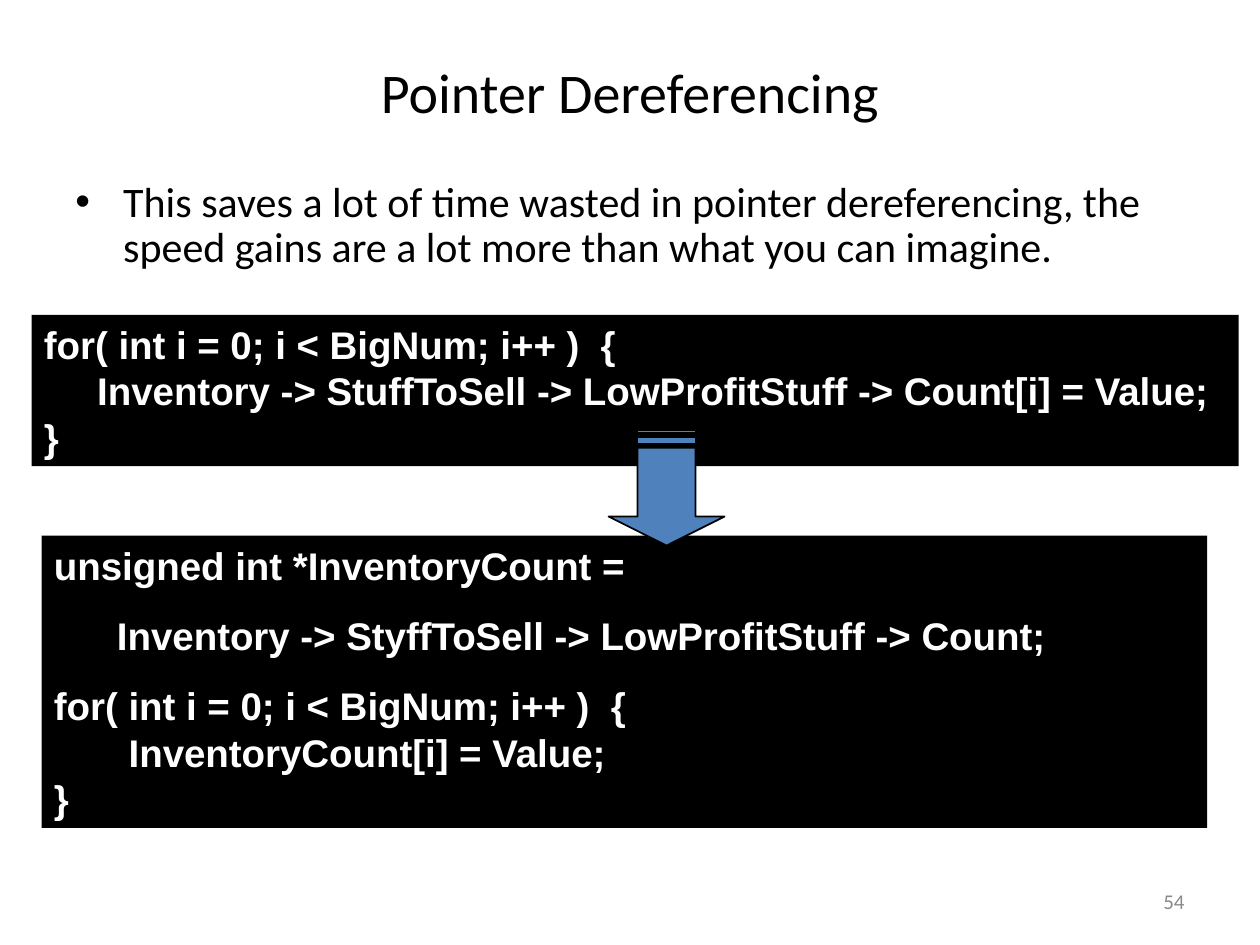
import pptx
import pptx.dml.color
import pptx.enum.shapes
import pptx.enum.text
import pptx.oxml
import pptx.oxml.ns
import pptx.util

SHAPE = pptx.enum.shapes.MSO_SHAPE
ALIGN = pptx.enum.text.PP_ALIGN
ANCHOR = pptx.enum.text.MSO_ANCHOR

LOOP = "for( int i = 0; i < BigNum; i++ )  {"
SLOW_CODE = [
    f"{LOOP}\v     Inventory -> StuffToSell -> LowProfitStuff -> Count[i] = Value;\v}}",
]
FAST_CODE = [
    "unsigned int *InventoryCount =",
    "\tInventory -> StyffToSell -> LowProfitStuff -> Count;",
    f"{LOOP}\v       InventoryCount[i] = Value;\v}}",
]


def color(value):
    return pptx.dml.color.RGBColor.from_string(value)


class Deck:
    """Holds the style and the current slide; places elements by shares of its size."""

    body = {"name": "Calibri", "bold": False}
    code_font = {"name": "Arial", "bold": True, "size": pptx.util.Pt(22)}
    ink, paper, accent, muted = "000000", "FFFFFF", "4F81BD", "898989"

    def __init__(self, width, height):
        self.prs = pptx.Presentation()
        self.prs.slide_width = pptx.util.Inches(width)
        self.prs.slide_height = pptx.util.Inches(height)
        self.s = self.prs.slides.add_slide(self.prs.slide_layouts[6])

    def place(self, x, y, w, h):
        W, H = self.prs.slide_width, self.prs.slide_height
        return [round(v) for v in (x * W, y * H, w * W, h * H)]

    def fill_text(self, sp, texts, font, ink, para, anchor):
        tf = sp.text_frame
        tf.word_wrap = True
        tf.vertical_anchor = anchor
        for i, text in enumerate(texts):
            p = tf.paragraphs[0] if i == 0 else tf.add_paragraph()
            p.text = text
            for key, value in para.items():
                if i or key != "space_before":
                    setattr(p, key, value)
            for r in p.runs:
                for key, value in font.items():
                    setattr(r.font, key, value)
                r.font.color.rgb = color(ink)
        return tf

    def text(self, text, box, size, ink=ink, align=ALIGN.LEFT, anchor=ANCHOR.MIDDLE):
        sp = self.s.shapes.add_textbox(*self.place(*box))
        font = {**self.body, "size": pptx.util.Pt(size)}
        return self.fill_text(sp, [text], font, ink, {"alignment": align}, anchor)

    def bullet(self, text, box, size):
        p = self.text(text, box, size, anchor=ANCHOR.TOP).paragraphs[0]
        p.line_spacing = 0.9
        pPr = p._p.get_or_add_pPr()
        indent = pptx.util.Inches(0.38)
        for key, value in {"marL": indent, "indent": -indent}.items():
            pPr.set(key, str(int(value)))
        ns = pptx.oxml.ns.nsdecls("a")
        for tag in ('buFont {} typeface="Arial"', 'buChar {} char="•"'):
            pPr.append(pptx.oxml.parse_xml(f"<a:{tag.format(ns)}/>"))

    def shape(self, kind, box, fill):
        sp = self.s.shapes.add_shape(kind, *self.place(*box))
        sp.shadow.inherit = False
        sp.fill.solid()
        sp.fill.fore_color.rgb = color(fill)
        sp.line.fill.background()
        return sp

    def code(self, texts, box):
        sp = self.shape(SHAPE.RECTANGLE, box, self.ink)
        para = {"alignment": ALIGN.LEFT, "space_before": pptx.util.Pt(13.8)}
        self.fill_text(sp, texts, self.code_font, self.paper, para, ANCHOR.TOP)

    def down_arrow(self, box):
        sp = self.shape(SHAPE.STRIPED_RIGHT_ARROW, box, self.accent)
        sp.rotation = 90
        sp.adjustments[1] = 0.25
        sp.line.color.rgb = color(self.ink)
        sp.line.width = pptx.util.Pt(1)


def main():
    deck = Deck(10, 7.5)
    deck.text("54", (0.717, 6.95 / 7.5, 0.233, 0.4 / 7.5), 12, deck.muted, ALIGN.RIGHT)
    deck.text("Pointer Dereferencing", (0, 0.04, 1, 0.85 / 7.5), 32, align=ALIGN.CENTER)
    deck.bullet(
        "This saves a lot of time wasted in pointer dereferencing, "
        "the speed gains are a lot more than what you can imagine.",
        (0.05, 1.39 / 7.5, 0.9, 1.23 / 7.5), 24)
    deck.code(SLOW_CODE, (0.025, 2.5 / 7.5, 0.958, 0.16))
    deck.code(FAST_CODE, (0.033, 4.25 / 7.5, 0.925, 2.32 / 7.5))
    deck.down_arrow((0.483, 3.41 / 7.5, 0.092, 0.92 / 7.5))
    deck.prs.save("out.pptx")


if __name__ == "__main__":
    main()
